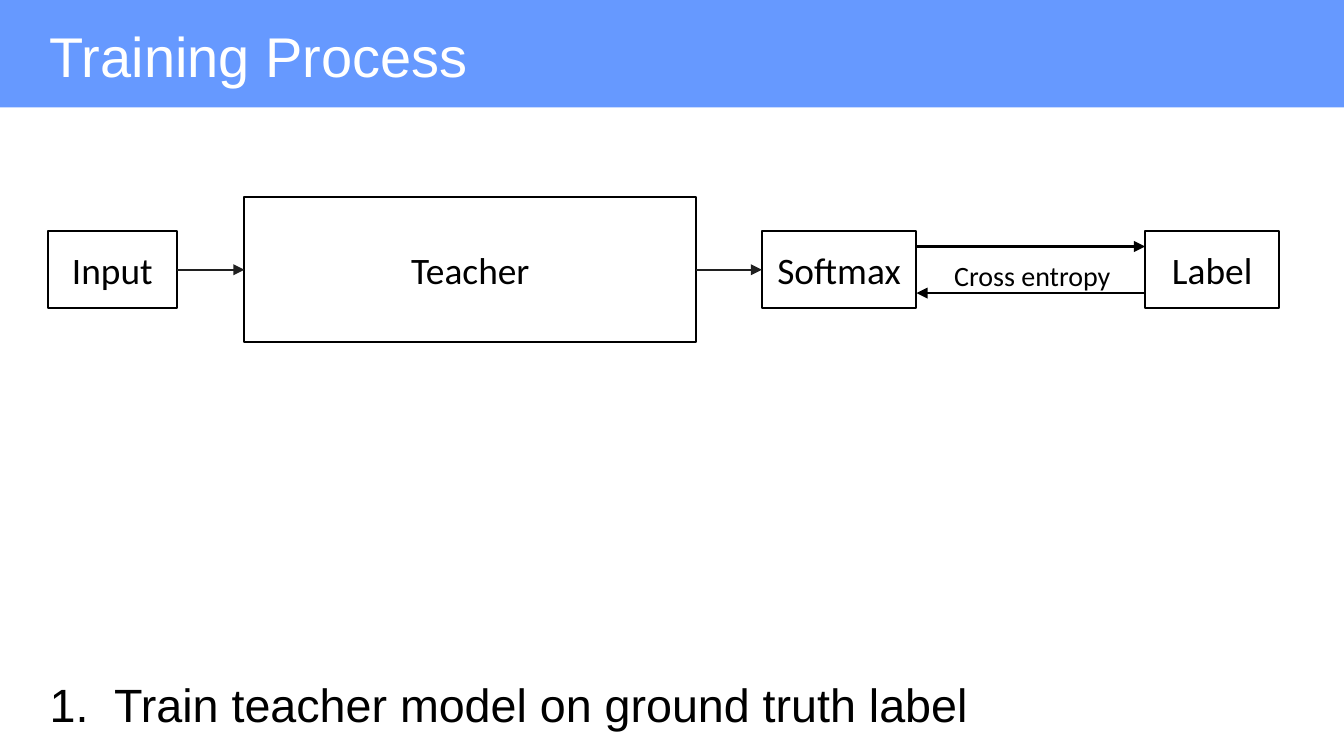
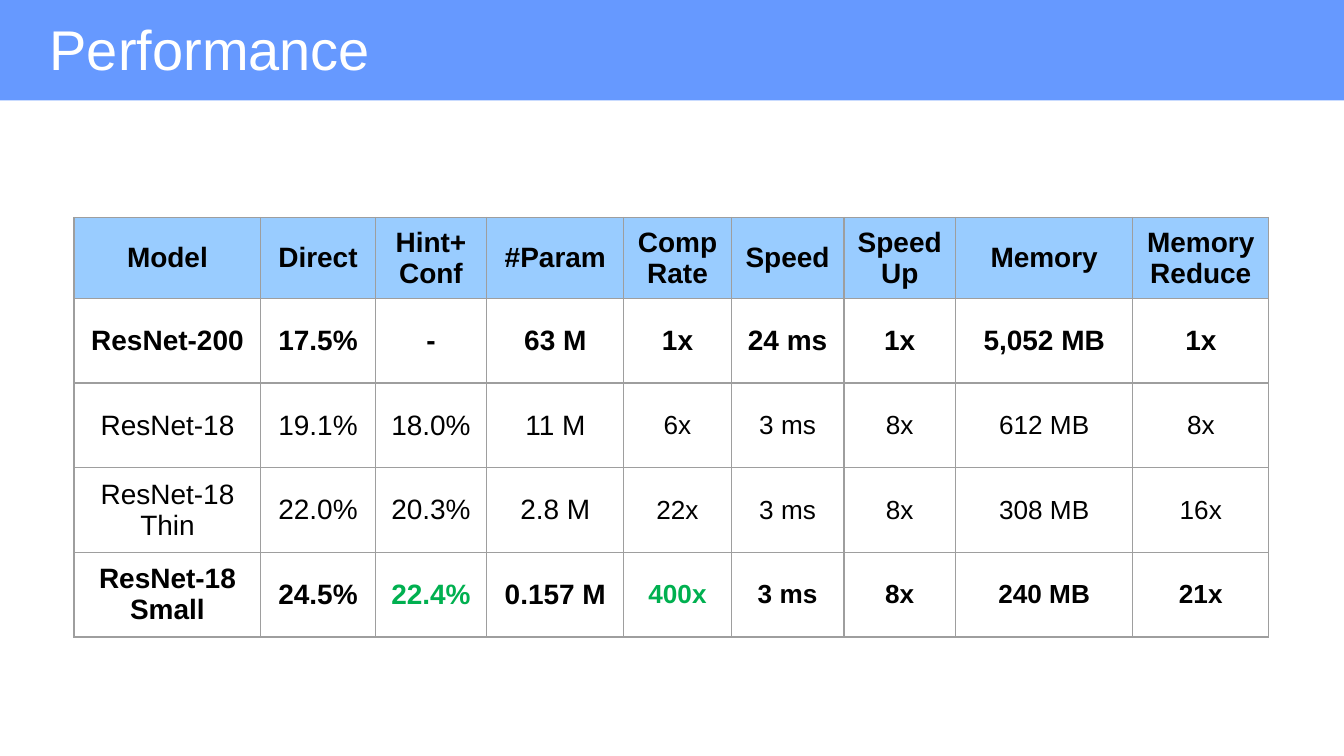
from dataclasses import dataclass

from lxml.etree import SubElement
from pptx import Presentation
from pptx.dml.color import RGBColor
from pptx.enum.shapes import MSO_CONNECTOR, MSO_SHAPE
from pptx.enum.text import MSO_ANCHOR, PP_ALIGN
from pptx.oxml.ns import qn
from pptx.util import Cm, Pt


@dataclass(frozen=True)
class Theme:
    band: str = "6699FF"
    head: str = "99CCFF"
    grid: str = "9E9E9E"
    ink: str = "000000"
    flow: str = "202020"
    best: str = "00B050"
    white: str = "FFFFFF"
    sans: str = "Arial"
    label: str = "Calibri"
    title: int = 30
    body: int = 25
    node: int = 20
    cell: int = 15
    small: int = 14


T = Theme()
WIDE, HIGH = 25.4, 14.29
LEFT = 0.69
PAD, SLIM = 0.25, 0.13

TITLES = ["Training Process", "Performance"]
STEP = "Train teacher model on ground truth label"
LOSS = "Cross entropy"
AXIS = 5.1  # height of the line on which all nodes are centred
NODES = [  # name, left, width, height
    ("Input", 0.91, 2.43, 1.46),
    ("Teacher", 4.62, 8.54, 2.74),
    ("Softmax", 14.4, 2.92, 1.46),
    ("Label", 21.64, 2.54, 1.46),
]

COLS = [3.53, 2.16, 2.11, 2.59, 2.03, 2.13, 2.11, 3.35, 2.57]
ROWS = [1.52, 1.6, 1.6, 1.6, 1.6]
DATA = [
    ["Model", "Direct", "Hint+Conf", "#Param", "Comp Rate", "Speed",
     "Speed Up", "Memory", "Memory Reduce"],
    ["ResNet-200", "17.5%", "-", "63 M", "1x", "24 ms", "1x", "5,052 MB", "1x"],
    ["ResNet-18", "19.1%", "18.0%", "11 M", "6x", "3 ms", "8x", "612 MB", "8x"],
    ["ResNet-18\nThin", "22.0%", "20.3%", "2.8 M", "22x", "3 ms", "8x",
     "308 MB", "16x"],
    ["ResNet-18\vSmall", "24.5%", "22.4%", "0.157 M", "400x", "3 ms", "8x",
     "240 MB", "21x"],
]
BOLD = {0, 1, 4}
BEST = {(4, 2), (4, 4)}


def rgb(code):
    return RGBColor.from_string(code)


def style(frame, size, face, color=T.ink, bold=False, align=PP_ALIGN.LEFT):
    for para in frame.paragraphs:
        para.alignment = align
        font = para.font
        font.size, font.name, font.bold = Pt(size), face, bold
        font.color.rgb = rgb(color)


def write(frame, text, pad, anchor, **look):
    frame.text = text
    frame.word_wrap = True
    frame.vertical_anchor = anchor
    frame.margin_left = frame.margin_right = Cm(PAD)
    frame.margin_top = frame.margin_bottom = Cm(pad)
    style(frame, **look)


def rect(slide, left, top, width, height, fill=None):
    """Add a filled rectangle, or an outlined one when no fill is given."""
    shape = slide.shapes.add_shape(
        MSO_SHAPE.RECTANGLE, Cm(left), Cm(top), Cm(width), Cm(height))
    shape.shadow.inherit = False
    if fill:
        shape.fill.solid()
        shape.fill.fore_color.rgb = rgb(fill)
        shape.line.fill.background()
    else:
        shape.fill.background()
        shape.line.color.rgb = rgb(T.ink)
        shape.line.width = Pt(1)
    return shape


def text(slide, words, left, top, width, height, pad=PAD,
         anchor=MSO_ANCHOR.TOP, **look):
    box = slide.shapes.add_textbox(Cm(left), Cm(top), Cm(width), Cm(height))
    write(box.text_frame, words, pad, anchor, **look)
    return box


def arrow(slide, start, end, y, color):
    line = slide.shapes.add_connector(
        MSO_CONNECTOR.STRAIGHT, Cm(start), Cm(y), Cm(end), Cm(y))
    line.line.color.rgb = rgb(color)
    line.line.width = Pt(1.25)
    SubElement(line.line._get_or_add_ln(), qn("a:tailEnd"), type="triangle")
    SubElement(line._element.spPr, qn("a:effectLst"))
    return line


def number(para, hang):
    """Turn a paragraph into a numbered item with a hanging indent."""
    props = para._p.get_or_add_pPr()
    props.set("marL", str(Cm(hang)))
    props.set("indent", str(-Cm(hang)))
    SubElement(props, qn("a:buFont"), typeface=T.sans)
    SubElement(props, qn("a:buAutoNum"), type="arabicPeriod")


def border(cell):
    props = cell._tc.get_or_add_tcPr()
    for side in ("lnL", "lnR", "lnT", "lnB"):
        line = SubElement(props, qn(f"a:{side}"), w=str(Pt(0.75)))
        fill = SubElement(line, qn("a:solidFill"))
        SubElement(fill, qn("a:srgbClr"), val=T.grid)


def start(deck, title, top=0):
    """Add a slide with its title band."""
    slide = deck.slides.add_slide(deck.slide_layouts[6])
    rect(slide, 0, top, WIDE, 2.03, T.band)
    text(slide, title, LEFT, top + 0.15, 23.67, 1.6,
         size=T.title, face=T.sans, color=T.white)
    return slide


def draw_flow(slide):
    look = dict(pad=SLIM, anchor=MSO_ANCHOR.MIDDLE, face=T.label,
                align=PP_ALIGN.CENTER)
    boxes = []
    for name, left, width, height in NODES:
        box = rect(slide, left, AXIS - height / 2, width, height)
        write(box.text_frame, name, size=T.node, **look)
        boxes.append(box)
    for one, two in zip(boxes[:2], boxes[1:3]):
        link = arrow(slide, 0, 1, AXIS, T.flow)
        link.begin_connect(one, 3)
        link.end_connect(two, 1)
    near, far = NODES[2][1] + NODES[2][2], NODES[3][1]
    arrow(slide, near, far, AXIS - 0.44, T.ink)
    arrow(slide, far, near, AXIS + 0.44, T.ink)
    text(slide, LOSS, 17.02, 4.62, 4.98, 1.17, size=T.cell, **look)

    step = text(slide, STEP, LEFT, 12.37, 24, 1.45, size=T.body, face=T.sans)
    para = step.text_frame.paragraphs[0]
    para.line_spacing = 1.15
    number(para, 1.22)
    style(step.text_frame, T.body, T.sans)


def draw_table(slide):
    frame = slide.shapes.add_table(
        len(ROWS), len(COLS), Cm(1.4), Cm(4.11), Cm(sum(COLS)), Cm(sum(ROWS)))
    table = frame.table
    table.first_row = table.horz_banding = False
    for col, width in zip(table.columns, COLS):
        col.width = Cm(width)
    for row, height in zip(table.rows, ROWS):
        row.height = Cm(height)
    for r, row in enumerate(DATA):
        for c, words in enumerate(row):
            cell = table.cell(r, c)
            border(cell)
            if r == 0:
                cell.fill.solid()
                cell.fill.fore_color.rgb = rgb(T.head)
            else:
                cell.fill.background()
            cell.text_frame.text = words
            cell.vertical_anchor = MSO_ANCHOR.MIDDLE
            cell.margin_left = cell.margin_right = Cm(PAD)
            cell.margin_top = cell.margin_bottom = Cm(SLIM)
            style(cell.text_frame, T.small if r > 1 and c > 3 else T.cell,
                  T.sans, T.best if (r, c) in BEST else T.ink,
                  r in BOLD, PP_ALIGN.CENTER)


def main():
    deck = Presentation()
    deck.slide_width, deck.slide_height = Cm(WIDE), Cm(HIGH)
    draw_flow(start(deck, TITLES[0]))
    draw_table(start(deck, TITLES[1], -0.13))
    deck.save("out.pptx")


if __name__ == "__main__":
    main()
